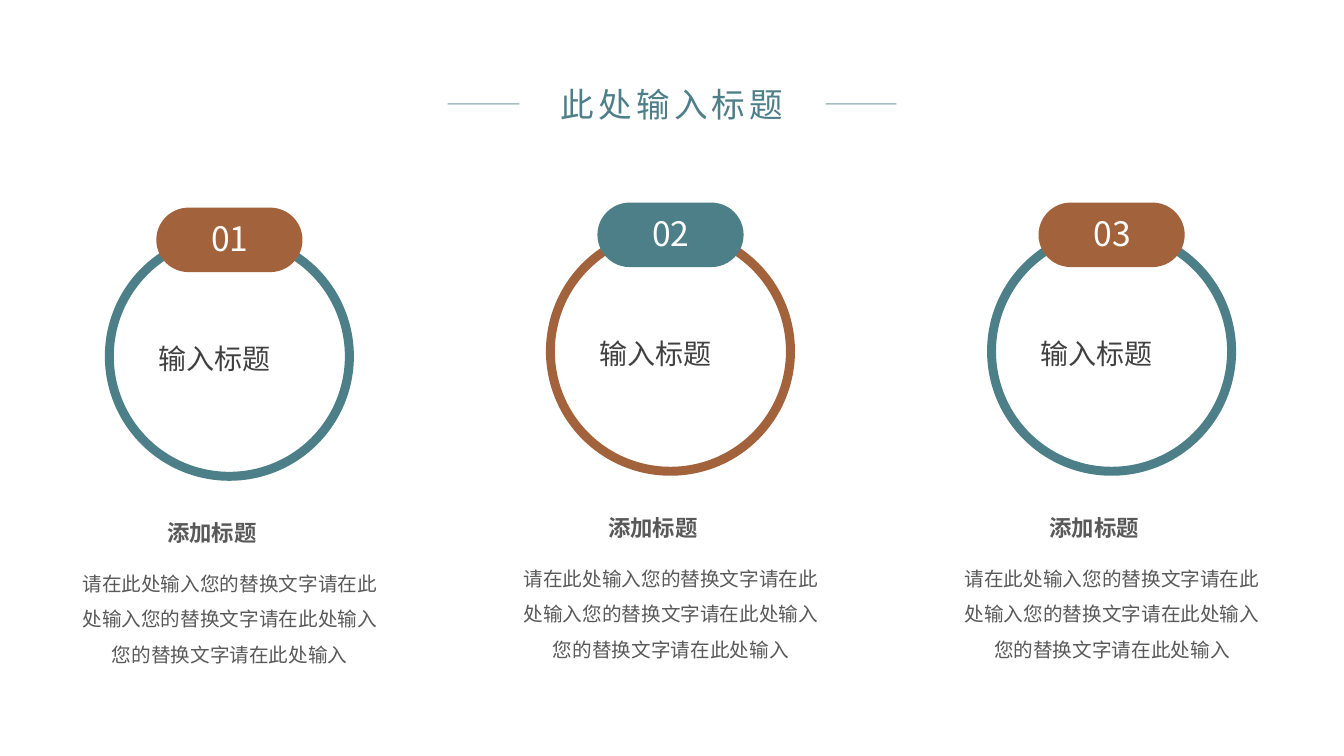
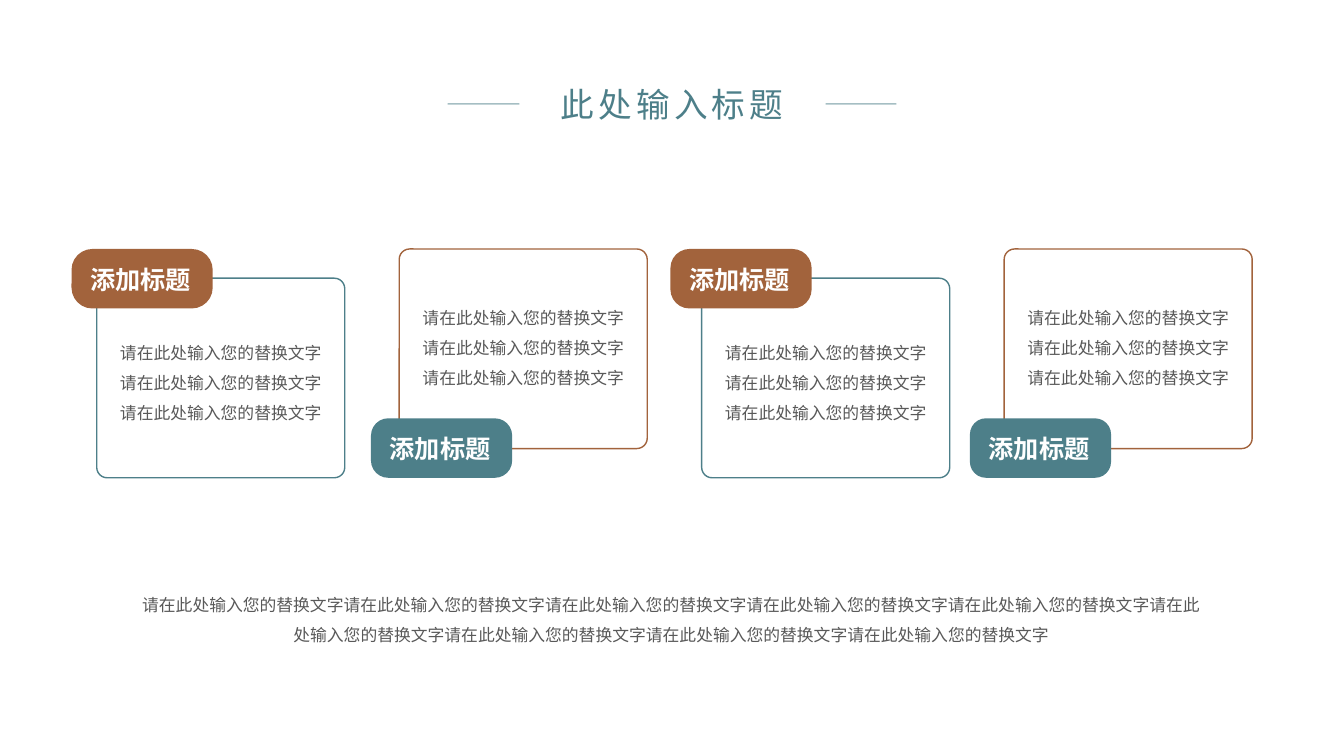
"""Build two slides: three numbered rings, and four labelled cards."""
from lxml.etree import SubElement
from pptx import Presentation
from pptx.dml.color import RGBColor
from pptx.enum.shapes import MSO_CONNECTOR, MSO_SHAPE
from pptx.enum.text import MSO_AUTO_SIZE, PP_ALIGN
from pptx.oxml.ns import qn
from pptx.util import Inches, Pt

FONT = "Noto Sans CJK SC"
TEAL, RUST, WHITE = "4D7F89", "A2633C", "FFFFFF"
DARK, GREY = "404040", "595959"

TITLE = "此处输入标题"
PHRASE = "请在此处输入您的替换文字"
HEADING = "添加标题"
RING_TEXT = "输入标题"
RING_BODY = PHRASE * 3 + "请在此处输入"
CARD_BODY = PHRASE * 3
SUMMARY = PHRASE * 9

TITLE_RULES = [(4.44, 5.15), (8.19, 8.89)]
RINGS = [
    ("01", TEAL, RUST, 2.06),
    ("02", RUST, TEAL, 2.01),
    ("03", TEAL, RUST, 2.01),
]
CARDS = [
    (TEAL, RUST, 2.76, 3.25, 2.47, 0.35),
    (RUST, TEAL, 2.47, 2.9, 4.15, 0.29),
    (TEAL, RUST, 2.76, 3.25, 2.47, 0.32),
    (RUST, TEAL, 2.47, 2.9, 4.15, 0.27),
]
RING_LEFT, RING_STEP, RING_SIZE = 1.04, 4.375, 2.47
CARD_LEFT, CARD_STEP = 0.96, 3
LABEL_LEFT, LABEL_STEP = 0.71, 2.97


def rgb(value):
    return RGBColor.from_string(value)


def add_outline(slide, preset, box, radius, fill, border=None):
    shape = slide.shapes.add_shape(preset, *map(Inches, box))
    shape.shadow.inherit = False
    shape.adjustments[0] = radius
    shape.fill.solid()
    shape.fill.fore_color.rgb = rgb(fill)
    if border:
        shape.line.color.rgb = rgb(border)
        shape.line.width = Pt(1)
    else:
        shape.line.fill.background()


def add_text(slide, text, box, size, color, align=PP_ALIGN.CENTER,
             bold=False, leading=None, tracking=None, wrap=True):
    frame = slide.shapes.add_textbox(*map(Inches, box)).text_frame
    frame.word_wrap = wrap
    frame.auto_size = MSO_AUTO_SIZE.SHAPE_TO_FIT_TEXT
    paragraph = frame.paragraphs[0]
    paragraph.text = text
    paragraph.alignment = align
    if leading:
        paragraph.line_spacing = leading
    font = paragraph.font
    font.name, font.size, font.bold = FONT, Pt(size), bold
    font.color.rgb = rgb(color)
    properties = paragraph._p.pPr.find(qn("a:defRPr"))
    SubElement(properties, qn("a:ea")).set("typeface", FONT)
    if tracking:
        properties.set("spc", str(tracking * 100))


def add_rule(slide, start, end, y):
    rule = slide.shapes.add_connector(
        MSO_CONNECTOR.STRAIGHT, Inches(start), Inches(y), Inches(end), Inches(y))
    rule.line.color.rgb = rgb(TEAL)
    rule.line.width = Pt(1)
    color = rule._element.spPr.find(".//" + qn("a:srgbClr"))
    SubElement(color, qn("a:alpha")).set("val", "50000")
    SubElement(rule._element.spPr, qn("a:effectLst"))


def add_titled_slide(deck):
    slide = deck.slides.add_slide(deck.slide_layouts[6])
    for start, end in TITLE_RULES:
        add_rule(slide, start, end, 1.03)
    add_text(slide, TITLE, (5.19, 0.78, 2.95, 0.5), 24, TEAL, tracking=3)
    return slide


def add_ring(slide, left, number, ring_color, badge_color, top):
    add_outline(slide, MSO_SHAPE.DONUT,
                (left, top + 0.24, RING_SIZE, RING_SIZE), 0.036, ring_color)
    add_outline(slide, MSO_SHAPE.ROUNDED_RECTANGLE,
                (left + 0.51, top, 1.45, 0.64), 0.5, badge_color)
    add_text(slide, HEADING, (left + 0.52, top + 3.04, 1.45, 0.37), 16, GREY,
             PP_ALIGN.JUSTIFY, bold=True)
    add_text(slide, RING_BODY, (left - 0.38, top + 3.45, 3.24, 1.12), 14, GREY,
             leading=1.5)
    add_text(slide, number, (left + 0.95, top + 0.05, 0.58, 0.5), 24, WHITE,
             wrap=False)
    add_text(slide, RING_TEXT, (left + 0.43, top + 1.28, 1.64, 0.44), 20, DARK,
             PP_ALIGN.JUSTIFY)


def add_card(slide, index, border, label_color, top, body_top, label_top, radius):
    left = CARD_LEFT + index * CARD_STEP
    label_left = LABEL_LEFT + index * LABEL_STEP
    add_outline(slide, MSO_SHAPE.ROUNDED_RECTANGLE,
                (left, top, 2.46, 1.98), 0.052, WHITE, border)
    add_outline(slide, MSO_SHAPE.ROUNDED_RECTANGLE,
                (label_left, label_top, 1.4, 0.59), radius, label_color)
    add_text(slide, HEADING, (label_left - 0.04, label_top + 0.1, 1.45, 0.4),
             18, WHITE, bold=True)
    add_text(slide, CARD_BODY, (left + 0.12, body_top, 2.22, 0.97), 12, GREY,
             leading=1.5)


deck = Presentation()
deck.slide_width, deck.slide_height = Inches(13.33), Inches(7.5)

rings_slide = add_titled_slide(deck)
for index, ring in enumerate(RINGS):
    add_ring(rings_slide, RING_LEFT + index * RING_STEP, *ring)

cards_slide = add_titled_slide(deck)
for index, card in enumerate(CARDS):
    add_card(cards_slide, index, *card)
add_text(cards_slide, SUMMARY, (1.29, 5.75, 10.74, 0.68), 12, GREY, leading=1.5)

deck.save("out.pptx")
